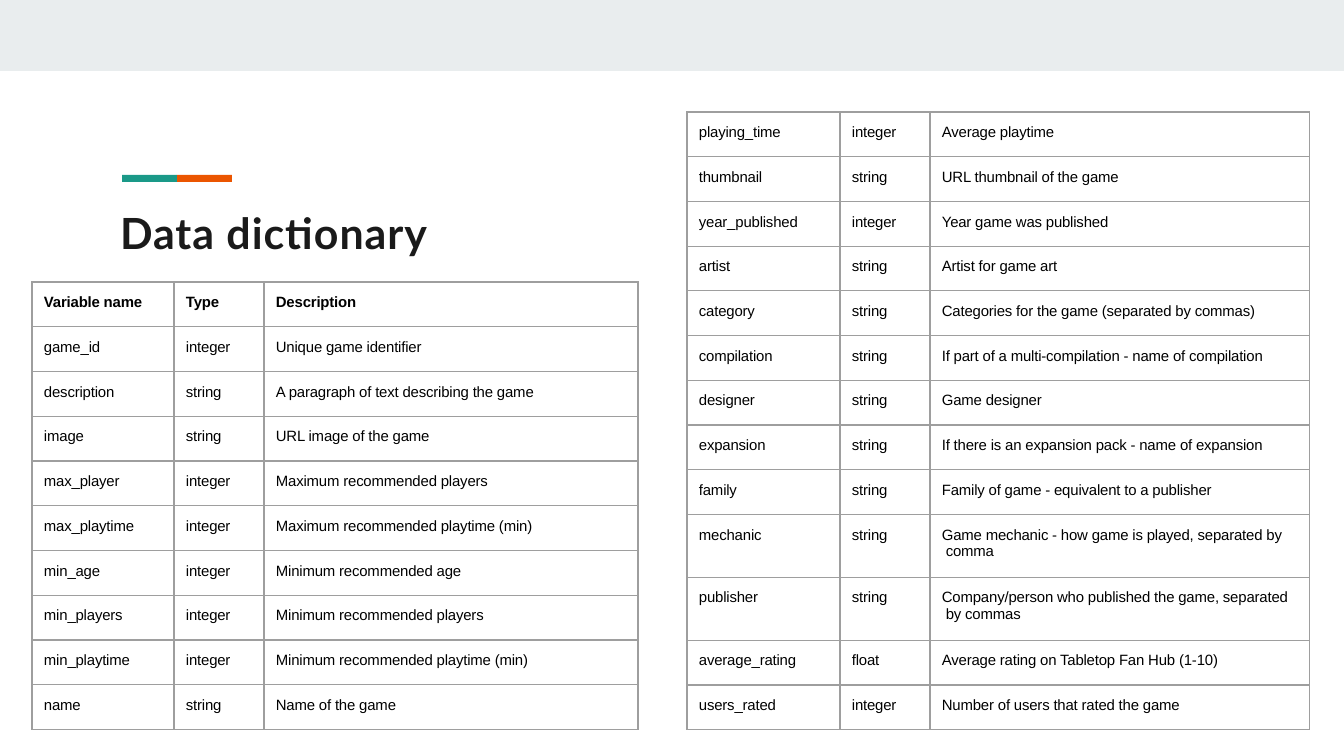
"""Build the data dictionary slide."""
from dataclasses import dataclass

from lxml import etree
from pptx import Presentation
from pptx import util as u
from pptx.dml.color import RGBColor
from pptx.enum import shapes, text
from pptx.oxml import ns

HUES = {"band": "E9EDEE", "teal": "1A9988", "rust": "EB5500",
        "title": "1A1A1A", "ink": "000000", "rule": "9E9E9E"}
ROW_TALL = 63
PAD = 12


@dataclass
class Bar:
    left: int
    top: int
    width: int
    height: int
    hue: str


@dataclass
class Grid:
    left: int
    top: int
    height: int
    cols: list[int]
    rows: list[tuple[str, str, str]]
    head: bool = False


BARS = [Bar(0, 0, 1344, 71, "band"),
        Bar(177, 175, 55, 7, "rust"),
        Bar(122, 175, 55, 7, "teal")]

GRIDS = [
    Grid(32, 282, 448, [142, 90, 374], [
        ("Variable name", "Type", "Description"),
        ("game_id", "integer", "Unique game identifier"),
        ("description", "string", "A paragraph of text describing the game"),
        ("image", "string", "URL image of the game"),
        ("max_player", "integer", "Maximum recommended players"),
        ("max_playtime", "integer", "Maximum recommended playtime (min)"),
        ("min_age", "integer", "Minimum recommended age"),
        ("min_players", "integer", "Minimum recommended players"),
        ("min_playtime", "integer", "Minimum recommended playtime (min)"),
        ("name", "string", "Name of the game"),
    ], head=True),
    Grid(687, 112, 618, [153, 90, 380], [
        ("playing_time", "integer", "Average playtime"),
        ("thumbnail", "string", "URL thumbnail of the game"),
        ("year_published", "integer", "Year game was published"),
        ("artist", "string", "Artist for game art"),
        ("category", "string", "Categories for the game (separated by commas)"),
        ("compilation", "string", "If part of a multi-compilation - name of compilation"),
        ("designer", "string", "Game designer"),
        ("expansion", "string", "If there is an expansion pack - name of expansion"),
        ("family", "string", "Family of game - equivalent to a publisher"),
        ("mechanic", "string", "Game mechanic - how game is played, separated by\v comma"),
        ("publisher", "string", "Company/person who published the game, separated\v by commas"),
        ("average_rating", "float", "Average rating on Tabletop Fan Hub (1-10)"),
        ("users_rated", "integer", "Number of users that rated the game"),
    ]),
]


def px(num: float) -> int:
    """Turn pixels into EMU."""
    return u.Inches(num / 134.4)


def paint(hue: str) -> RGBColor:
    """Look up a colour."""
    return RGBColor.from_string(HUES[hue])


def style(para, face: str, size: int, hue: str, bold: bool, gap: int) -> None:
    """Format every run of a paragraph."""
    para.alignment = text.PP_ALIGN.LEFT
    for run in para.runs:
        font = run.font
        font.name, font.size, font.bold = face, u.Pt(size), bold
        font.color.rgb = paint(hue)
        run._r.get_or_add_rPr().set("spc", str(gap))


def draw_bar(slide, bar: Bar) -> None:
    """Draw a plain filled bar."""
    shape = slide.shapes.add_shape(
        shapes.MSO_SHAPE.RECTANGLE, px(bar.left), px(bar.top),
        px(bar.width), px(bar.height))
    shape.shadow.inherit = False
    shape.fill.solid()
    shape.fill.fore_color.rgb = paint(bar.hue)
    shape.line.fill.background()


def draw_title(slide, words: str) -> None:
    """Place and format the title."""
    title = slide.shapes.title
    title.left, title.top = px(118), px(204)
    title.width, title.height = px(323), px(56)
    frame = title.text_frame
    frame.text = words
    frame.word_wrap = True
    frame.auto_size = text.MSO_AUTO_SIZE.NONE
    frame.vertical_anchor = text.MSO_ANCHOR.TOP
    frame.margin_left, frame.margin_top = px(2), px(3)
    frame.margin_right = frame.margin_bottom = 0
    style(frame.paragraphs[0], "Lato", 23, "title", True, 50)


def rule_cell(cell) -> None:
    """Line all four sides of a cell."""
    props = cell._tc.get_or_add_tcPr()
    for side in ("lnL", "lnR", "lnT", "lnB"):
        line = etree.SubElement(props, ns.qn(f"a:{side}"), w=str(u.Pt(0.75)))
        fill = etree.SubElement(line, ns.qn("a:solidFill"))
        etree.SubElement(fill, ns.qn("a:srgbClr"), val=HUES["rule"])


def draw_grid(slide, grid: Grid) -> None:
    """Draw a ruled table whose two-line rows are taller."""
    table = slide.shapes.add_table(
        len(grid.rows), len(grid.cols), px(grid.left), px(grid.top),
        px(sum(grid.cols)), px(grid.height)).table
    table.first_row = grid.head
    table.horz_banding = False
    for col, width in zip(table.columns, grid.cols):
        col.width = px(width)
    tall = sum("\v" in row[-1] for row in grid.rows)
    base = (grid.height - tall * ROW_TALL) / (len(grid.rows) - tall)
    for i, row in enumerate(grid.rows):
        table.rows[i].height = px(ROW_TALL if "\v" in row[-1] else base)
        for j, words in enumerate(row):
            cell = table.cell(i, j)
            rule_cell(cell)
            cell.fill.background()
            cell.margin_left = cell.margin_top = px(PAD)
            cell.margin_right = cell.margin_bottom = 0
            para = cell.text_frame.paragraphs[0]
            para.text = words
            style(para, "Arial", 8, "ink", grid.head and i == 0, -10)


def main() -> None:
    """Build and save the slide."""
    deck = Presentation()
    deck.slide_width, deck.slide_height = px(1344), px(756)
    slide = deck.slides.add_slide(deck.slide_layouts[5])
    for bar in BARS:
        draw_bar(slide, bar)
    draw_title(slide, "Data dictionary")
    for grid in GRIDS:
        draw_grid(slide, grid)
    deck.save("out.pptx")


if __name__ == "__main__":
    main()
